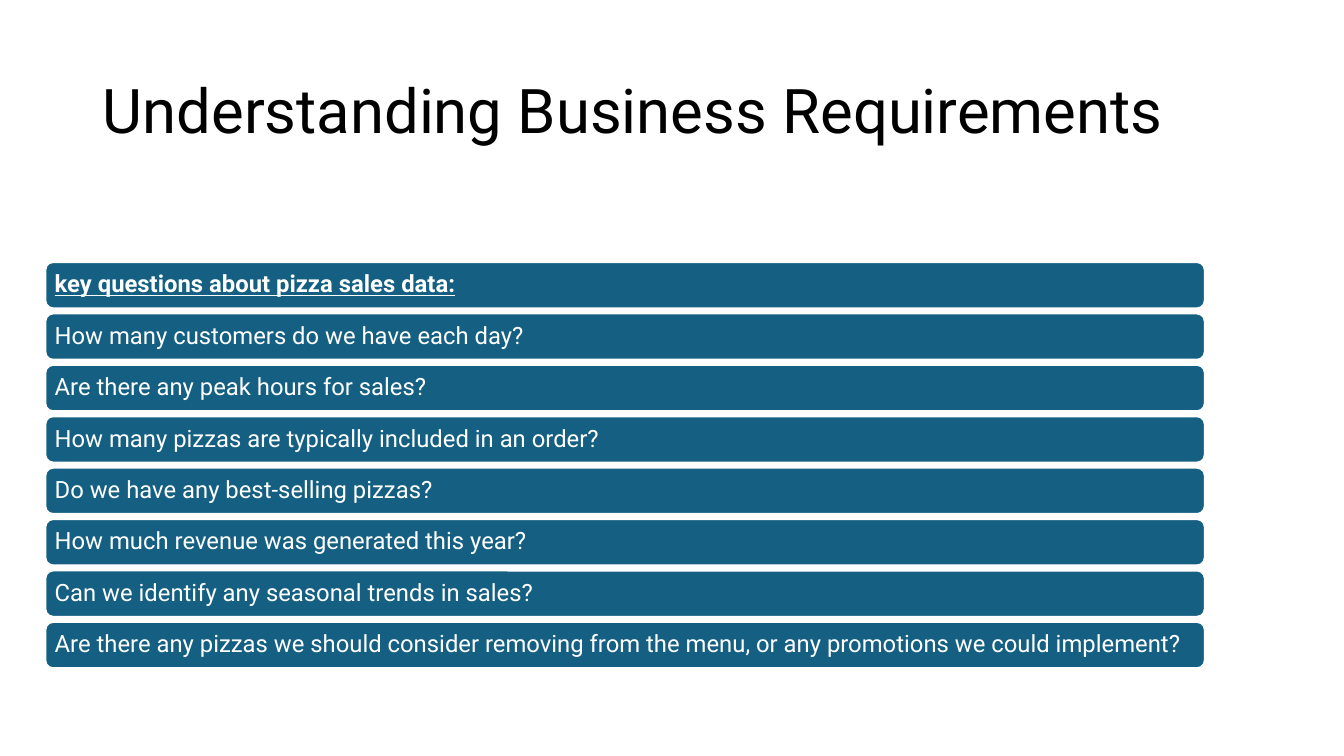
from pptx import Presentation
from pptx.dml.color import RGBColor
from pptx.enum import shapes, text
from pptx.util import Inches, Pt

TITLE = "Understanding Business Requirements"
HEADING = "key questions about pizza sales data:"
QUESTIONS = [
    "How many customers do we have each day?",
    "Are there any peak hours for sales?",
    "How many pizzas are typically included in an order?",
    "Do we have any best-selling pizzas?",
    "How much revenue was generated this year?",
    "Can we identify any seasonal trends in sales?",
    "Are there any pizzas we should consider removing from the menu, "
    "or any promotions we could implement?",
]

FONT = "Roboto"
BLACK = RGBColor(0x00, 0x00, 0x00)
WHITE = RGBColor(0xFF, 0xFF, 0xFF)
BLUE = RGBColor(0x15, 0x60, 0x82)

BAR_LEFT, BAR_TOP = 0.45, 2.6
BAR_WIDTH, BAR_HEIGHT = 11.5, 0.46
BAR_PITCH = 0.51
BAR_INSET = Inches(0.07)


def write_line(frame, wording, size, color):
    """Fill a frame with one left-aligned line and return its font."""
    frame.text = wording
    frame.word_wrap = True
    frame.auto_size = text.MSO_AUTO_SIZE.NONE
    frame.vertical_anchor = text.MSO_ANCHOR.MIDDLE
    line = frame.paragraphs[0]
    line.alignment = text.PP_ALIGN.LEFT
    line.line_spacing = 0.9
    font = line.runs[0].font
    font.name, font.size = FONT, Pt(size)
    font.color.rgb = color
    return font


def add_bar(slide, row, wording):
    bar = slide.shapes.add_shape(
        shapes.MSO_SHAPE.ROUNDED_RECTANGLE,
        Inches(BAR_LEFT), Inches(BAR_TOP + row * BAR_PITCH),
        Inches(BAR_WIDTH), Inches(BAR_HEIGHT))
    bar.shadow.inherit = False
    bar.fill.solid()
    bar.fill.fore_color.rgb = BLUE
    bar.line.color.rgb = WHITE
    bar.line.width = Pt(1.5)
    frame = bar.text_frame
    frame.margin_left = frame.margin_right = BAR_INSET
    frame.margin_top = frame.margin_bottom = BAR_INSET
    return write_line(frame, wording, 17, WHITE)


def main():
    deck = Presentation()
    deck.slide_width, deck.slide_height = Inches(13.33), Inches(7.5)
    slide = deck.slides.add_slide(deck.slide_layouts.get_by_name("Title Only"))

    title = slide.shapes.title
    title.left, title.top = Inches(0.92), Inches(0.4)
    title.width, title.height = Inches(11.5), Inches(1.45)
    write_line(title.text_frame, TITLE, 44, BLACK)

    heading_font = add_bar(slide, 0, HEADING)
    heading_font.bold = heading_font.underline = True
    for row, question in enumerate(QUESTIONS, start=1):
        add_bar(slide, row, question)

    deck.save("out.pptx")


if __name__ == "__main__":
    main()
